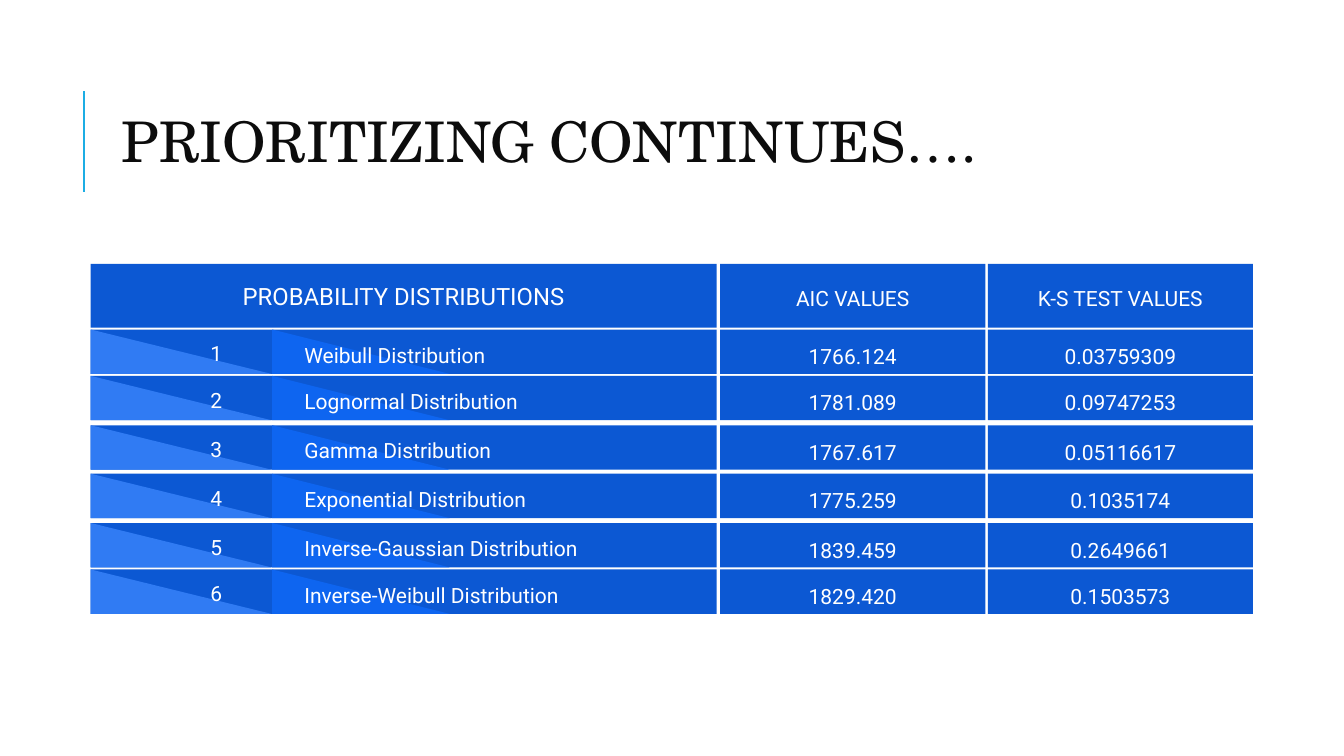
import pptx
import pptx.util
import pptx.dml.color
import pptx.enum.shapes
import pptx.enum.text
import pptx.oxml
import pptx.oxml.ns

Pt = pptx.util.Pt
RGBColor = pptx.dml.color.RGBColor
SHAPE = pptx.enum.shapes.MSO_SHAPE
ANCHOR = pptx.enum.text.MSO_ANCHOR
ALIGN = pptx.enum.text.PP_ALIGN

BAND_BLUE = RGBColor(0x0C, 0x58, 0xD3)
NAME_BLUE = RGBColor(0x0E, 0x65, 0xF0)
RANK_BLUE = RGBColor(0x30, 0x7B, 0xF3)
RULE_CYAN = RGBColor(0x1C, 0xAD, 0xE4)
TITLE_BLACK = RGBColor(0x0C, 0x0C, 0x0C)
WHITE = RGBColor(0xFF, 0xFF, 0xFF)

INSET = 9.36
HEADER_HEIGHT = 45.4
ROW_HEIGHT = 31.7
BAND_WIDTH = 447.1
VALUE_WIDTH = 189.4
AIC_OFFSET = 449.6
KS_OFFSET = 640.8

HEADINGS = ("PROBABILITY DISTRIBUTIONS", "AIC VALUES", "K-S TEST VALUES")
DISTRIBUTIONS = (
    (46.8, "Weibull Distribution", "1766.124", "0.03759309"),
    (79.9, "Lognormal Distribution", "1781.089", "0.09747253"),
    (115.2, "Gamma Distribution", "1767.617", "0.05116617"),
    (149.8, "Exponential Distribution", "1775.259", "0.1035174"),
    (185, "Inverse-Gaussian Distribution", "1839.459", "0.2649661"),
    (218.2, "Inverse-Weibull Distribution", "1829.420", "0.1503573"),
)


def write(holder, text, size=15, align=ALIGN.CENTER, anchor=ANCHOR.MIDDLE,
          spacing=None, drop=0):
    frame = holder.text_frame
    frame.word_wrap = True
    frame.vertical_anchor = anchor
    frame.margin_left = frame.margin_right = frame.margin_bottom = Pt(INSET)
    frame.margin_top = Pt(INSET + drop)
    frame.text = text
    paragraph = frame.paragraphs[0]
    paragraph.alignment = align
    paragraph.line_spacing = spacing
    font = paragraph.runs[0].font
    font.name, font.size, font.color.rgb = "Roboto", Pt(size), WHITE


def add_block(slide, kind, left, top, width, height, color):
    block = slide.shapes.add_shape(kind, Pt(left), Pt(top), Pt(width), Pt(height))
    block.shadow.inherit = False
    block.fill.solid()
    block.fill.fore_color.rgb = color
    block.line.fill.background()
    return block


def add_label(slide, left, top, width, height, text, align, anchor):
    label = slide.shapes.add_textbox(Pt(left), Pt(top), Pt(width), Pt(height))
    write(label, text, align=align, anchor=anchor)


def add_title(slide, left, top, width, height):
    rule_left = left - 20.2
    rule = slide.shapes.add_connector(
        pptx.enum.shapes.MSO_CONNECTOR.STRAIGHT,
        Pt(rule_left), Pt(top + 91.4), Pt(rule_left), Pt(top + 19.4))
    rule.line.color.rgb = RULE_CYAN
    rule.line.width = Pt(1.5)
    rule._element.spPr.append(pptx.oxml.parse_xml(
        "<a:effectLst %s/>" % pptx.oxml.ns.nsdecls("a")))

    title = slide.shapes.title
    title.left, title.top, title.width, title.height = map(Pt, (left, top, width, height))
    frame = title.text_frame
    frame.text = "PRIORITIZING CONTINUES…."
    frame.vertical_anchor = ANCHOR.MIDDLE
    paragraph = frame.paragraphs[0]
    paragraph.alignment = ALIGN.LEFT
    paragraph.line_spacing = 0.8
    font = paragraph.runs[0].font
    font.name, font.size, font.color.rgb = "TeX Gyre Schola", Pt(40), TITLE_BLACK


def add_header(slide, left, top):
    columns = ((0, BAND_WIDTH, 17, None), (AIC_OFFSET, VALUE_WIDTH, 15, 1.15),
               (KS_OFFSET, VALUE_WIDTH, 15, 1.15))
    for heading, (offset, width, size, spacing) in zip(HEADINGS, columns):
        block = add_block(slide, SHAPE.RECTANGLE, left + offset, top, width,
                          HEADER_HEIGHT, BAND_BLUE)
        write(block, heading, size, spacing=spacing)


def add_row(slide, left, top, rank, name, aic, ks):
    add_block(slide, SHAPE.RECTANGLE, left, top, BAND_WIDTH, ROW_HEIGHT, BAND_BLUE)
    for offset, width, color in ((129.6, 126.7, NAME_BLUE), (0, 129, RANK_BLUE)):
        add_block(slide, SHAPE.RIGHT_TRIANGLE, left + offset, top, width, ROW_HEIGHT, color)
    for offset, value in ((AIC_OFFSET, aic), (KS_OFFSET, ks)):
        block = add_block(slide, SHAPE.RECTANGLE, left + offset, top, VALUE_WIDTH,
                          ROW_HEIGHT, BAND_BLUE)
        write(block, value, spacing=1.15, drop=3.8)
    add_label(slide, left + 49.7, top + 15.8, 79.9, 19.4, str(rank),
              ALIGN.CENTER, ANCHOR.BOTTOM)
    add_label(slide, left + 143.3, top, 280, ROW_HEIGHT, name, ALIGN.LEFT, ANCHOR.TOP)


def add_distributions(slide, left, top):
    add_header(slide, left, top)
    for rank, (offset, name, aic, ks) in enumerate(DISTRIBUTIONS, 1):
        add_row(slide, left, top + offset, rank, name, aic, ks)


def main():
    deck = pptx.Presentation()
    deck.slide_width, deck.slide_height = Pt(960), Pt(540)
    slide = deck.slides.add_slide(deck.slide_layouts[5])
    add_title(slide, 79.9, 45.4, 814.3, 118)
    add_distributions(slide, 64.8, 188.6)
    deck.save("out.pptx")


if __name__ == "__main__":
    main()
